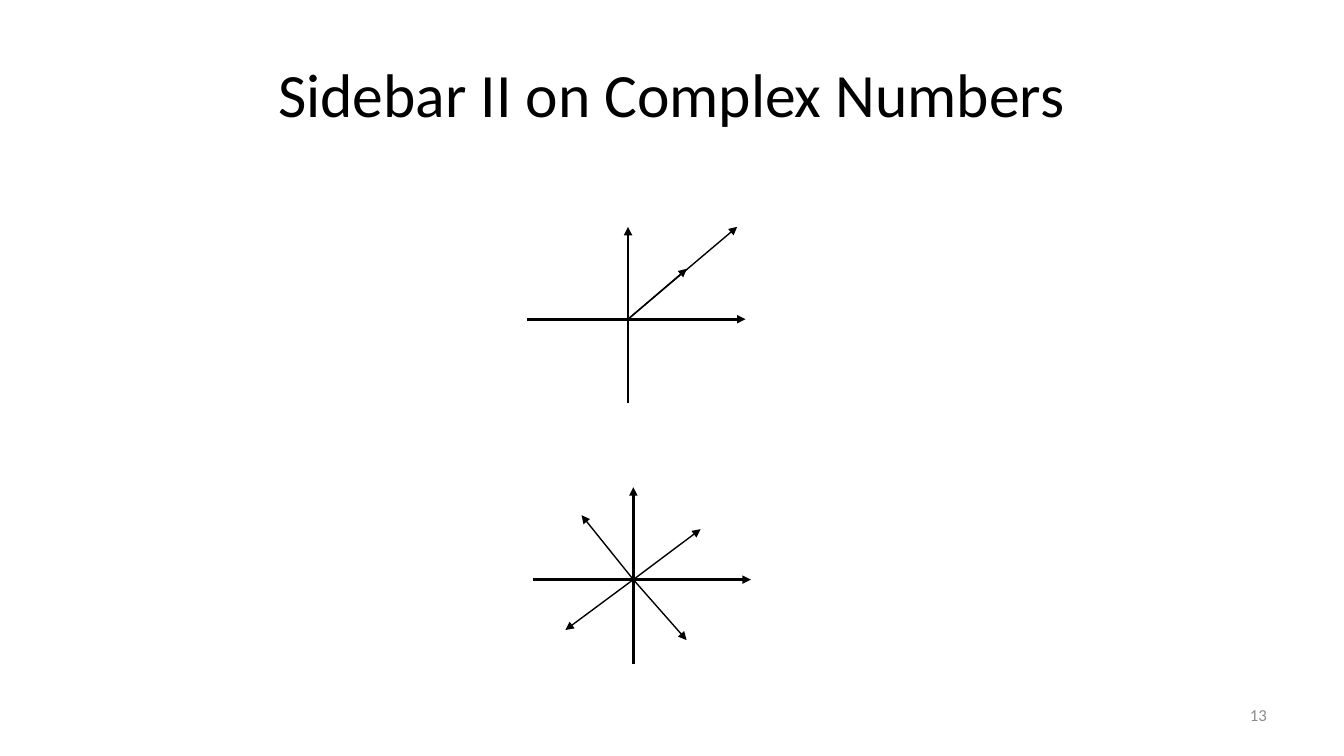
from lxml import etree
from pptx import Presentation
from pptx.dml.color import RGBColor
from pptx.enum.shapes import MSO_CONNECTOR
from pptx.enum.text import MSO_ANCHOR, MSO_AUTO_SIZE, PP_ALIGN
from pptx.oxml.ns import qn
from pptx.util import Pt

STRAIGHT = MSO_CONNECTOR.STRAIGHT
MIDDLE = MSO_ANCHOR.MIDDLE
NO_AUTOFIT = MSO_AUTO_SIZE.NONE
CENTER = PP_ALIGN.CENTER
RIGHT = PP_ALIGN.RIGHT

COLORS = {"ink": "000000", "number": "8C8C8C"}
FONT = "Calibri"
TITLE_ONLY = 5


def write_text(shape, text, *, size, color, align):
    frame = shape.text_frame
    frame.word_wrap = True
    frame.auto_size = NO_AUTOFIT
    frame.vertical_anchor = MIDDLE
    paragraph = frame.paragraphs[0]
    paragraph.text = text
    paragraph.alignment = align
    font = paragraph.runs[0].font
    font.name = FONT
    font.size = Pt(size)
    font.color.rgb = RGBColor.from_string(COLORS[color])


class SlideBuilder:
    def __init__(self, slide):
        self.slide = slide
        self.axis_width = 2
        self.vector_width = 1

    def title(self, text, left, top, width, height):
        shape = self.slide.shapes.title
        shape.left, shape.top = Pt(left), Pt(top)
        shape.width, shape.height = Pt(width), Pt(height)
        write_text(shape, text, size=44, color="ink", align=CENTER)

    def slide_number(self, text, left, top, width, height):
        shape = self.slide.shapes.add_textbox(Pt(left), Pt(top), Pt(width), Pt(height))
        write_text(shape, text, size=12, color="number", align=RIGHT)

    def arrow(self, start, end, width):
        connector = self.slide.shapes.add_connector(
            STRAIGHT, *(Pt(length) for length in (*start, *end))
        )
        connector.line.width = Pt(width)
        connector.line.color.rgb = RGBColor.from_string(COLORS["ink"])
        etree.SubElement(connector.line._get_or_add_ln(), qn("a:tailEnd"), type="triangle")
        etree.SubElement(connector._element.spPr, qn("a:effectLst"))

    def complex_plane(self, origin, vectors):
        x, y = origin
        self.arrow((x, y + 60), (x, y - 66), self.axis_width)
        self.arrow((x - 72, y), (x + 84, y), self.axis_width)
        for real, imaginary in vectors:
            self.arrow(origin, (x + real, y - imaginary), self.vector_width)


def main():
    presentation = Presentation()
    presentation.slide_width, presentation.slide_height = Pt(960), Pt(540)
    slide = presentation.slides.add_slide(presentation.slide_layouts[TITLE_ONLY])
    builder = SlideBuilder(slide)
    builder.slide_number("13", 688, 492, 224, 37.5)
    builder.title("Sidebar II on Complex Numbers", 48, 21.6, 864, 90)
    builder.complex_plane((448.6, 228), [(42, 36), (78, 66)])
    builder.complex_plane((452.4, 414), [(48, 36), (-37, 46), (-48.5, -36), (38, -43.2)])
    presentation.save("out.pptx")


if __name__ == "__main__":
    main()
